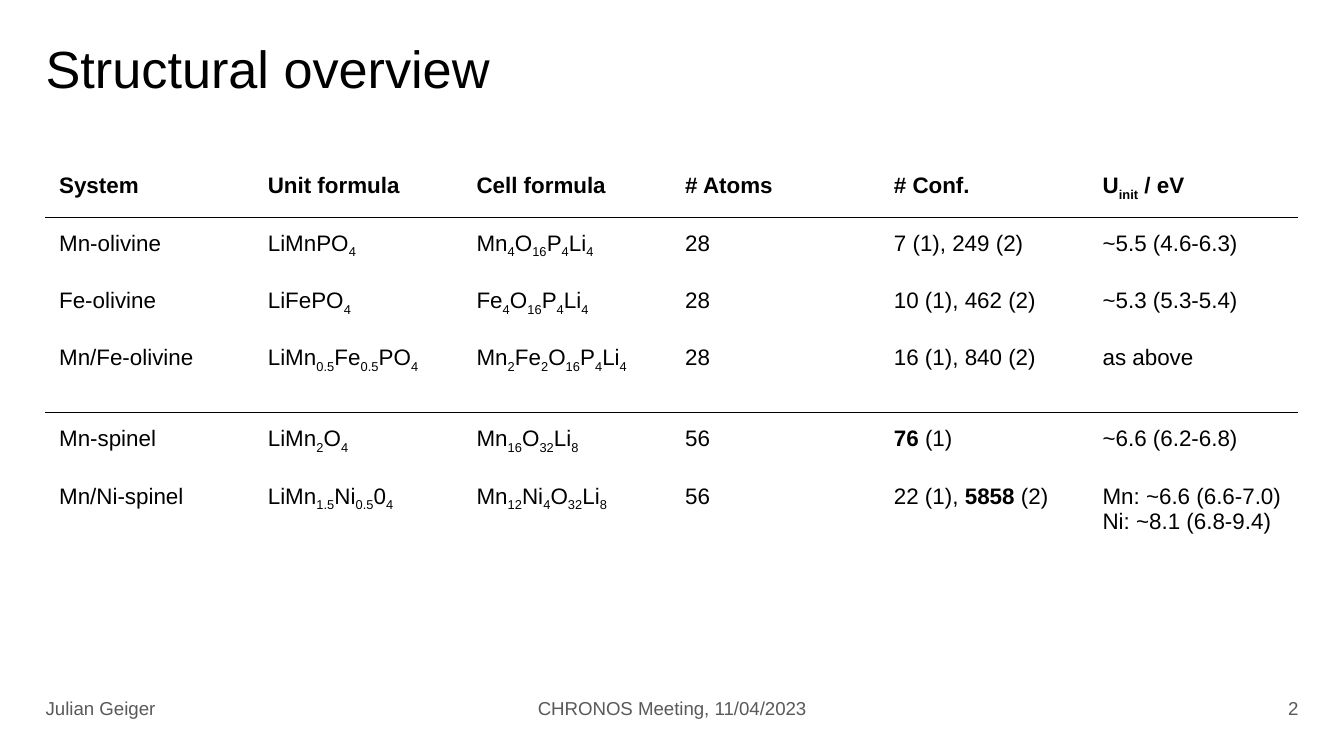
from dataclasses import dataclass
from typing import Iterator

from lxml import etree
from pptx import Presentation
from pptx.dml.color import RGBColor
from pptx.enum import text
from pptx.oxml import ns
from pptx.util import Pt

BLACK = RGBColor(0x00, 0x00, 0x00)
WHITE = RGBColor(0xFF, 0xFF, 0xFF)
GREY = RGBColor(0x59, 0x59, 0x59)
FONT = "Arial"

LEFT = 24.5
CONTENT_WIDTH = 671
COLUMN_WIDTH = 111.8
TABLE_TOP = 85.6
ROW_HEIGHT = 30.8
GROUP_END_HEIGHT = 43.2
CELL_MARGIN = 7.2
RULE_WIDTH = 0.75
FOOTER_TOP = 373
FOOTER_HEIGHT = 12.2


@dataclass(frozen=True)
class Footer:
    wording: str
    left: float
    width: float
    align: text.PP_ALIGN


@dataclass(frozen=True)
class System:
    """One table row; _x_ marks a subscript and *x* marks bold."""
    cells: tuple[str, ...]
    height: float = ROW_HEIGHT
    ruled_below: bool = False


FOOTERS = (
    Footer("Julian Geiger", LEFT, 62, text.PP_ALIGN.LEFT),
    Footer("CHRONOS Meeting, 11/04/2023", 267.5, 185, text.PP_ALIGN.CENTER),
    Footer("2", 677.5, 18, text.PP_ALIGN.RIGHT),
)

SYSTEMS = (
    System(("*System*", "*Unit formula*", "*Cell formula*", "*# Atoms*",
            "*# Conf.*", "*U_init_ / eV*"), ruled_below=True),
    System(("Mn-olivine", "LiMnPO_4_", "Mn_4_O_16_P_4_Li_4_", "28",
            "7 (1), 249 (2)", "~5.5 (4.6-6.3)")),
    System(("Fe-olivine", "LiFePO_4_", "Fe_4_O_16_P_4_Li_4_", "28",
            "10 (1), 462 (2)", "~5.3 (5.3-5.4)")),
    System(("Mn/Fe-olivine", "LiMn_0.5_Fe_0.5_PO_4_", "Mn_2_Fe_2_O_16_P_4_Li_4_", "28",
            "16 (1), 840 (2)", "as above"), GROUP_END_HEIGHT, ruled_below=True),
    System(("Mn-spinel", "LiMn_2_O_4_", "Mn_16_O_32_Li_8_", "56",
            "*76* (1)", "~6.6 (6.2-6.8)")),
    System(("Mn/Ni-spinel", "LiMn_1.5_Ni_0.5_0_4_", "Mn_12_Ni_4_O_32_Li_8_", "56",
            "22 (1), *5858* (2)", "Mn: ~6.6 (6.6-7.0)\nNi: ~8.1 (6.8-9.4)")),
)


def split_markup(line: str) -> Iterator[tuple[str, bool, bool]]:
    """Yield (wording, bold, subscript) for each run."""
    for bold_index, section in enumerate(line.split("*")):
        for sub_index, wording in enumerate(section.split("_")):
            if wording:
                yield wording, bold_index % 2 == 1, sub_index % 2 == 1


def add_run(paragraph, wording: str, size: float, color: RGBColor,
            bold: bool = False, subscript: bool = False) -> None:
    run = paragraph.add_run()
    run.text = wording
    run.font.name = FONT
    run.font.size = Pt(size)
    run.font.bold = bold
    run.font.color.rgb = color
    if subscript:
        run.font._element.set("baseline", "-25000")


def clear_margins(frame) -> None:
    frame.margin_left = frame.margin_top = frame.margin_right = frame.margin_bottom = 0


def add_title(slide, wording: str) -> None:
    title = slide.shapes.title
    title.left, title.top = Pt(LEFT), Pt(14.4)
    title.width, title.height = Pt(CONTENT_WIDTH), Pt(45.4)
    frame = title.text_frame
    clear_margins(frame)
    frame.auto_size = text.MSO_AUTO_SIZE.NONE
    frame.vertical_anchor = text.MSO_ANCHOR.TOP
    heading = frame.paragraphs[0]
    heading.alignment = text.PP_ALIGN.LEFT
    heading.line_spacing = 1.15
    add_run(heading, wording, 28, BLACK)


def add_footer(slide, footer: Footer) -> None:
    box = slide.shapes.add_textbox(Pt(footer.left), Pt(FOOTER_TOP),
                                   Pt(footer.width), Pt(FOOTER_HEIGHT))
    frame = box.text_frame
    clear_margins(frame)
    frame.word_wrap = True
    frame.vertical_anchor = text.MSO_ANCHOR.MIDDLE
    paragraph = frame.paragraphs[0]
    paragraph.alignment = footer.align
    add_run(paragraph, footer.wording, 10, GREY)


def set_borders(cell, top: RGBColor, bottom: RGBColor) -> None:
    properties = cell._tc.get_or_add_tcPr()
    for side, color in (("L", WHITE), ("R", WHITE), ("T", top), ("B", bottom)):
        border = etree.SubElement(properties, ns.qn(f"a:ln{side}"), w=str(Pt(RULE_WIDTH)))
        fill = etree.SubElement(border, ns.qn("a:solidFill"))
        etree.SubElement(fill, ns.qn("a:srgbClr"), val=str(color))


def fill_cell(cell, markup: str, top: RGBColor, bottom: RGBColor) -> None:
    cell.margin_left = cell.margin_right = Pt(CELL_MARGIN)
    cell.margin_top = cell.margin_bottom = Pt(CELL_MARGIN)
    set_borders(cell, top, bottom)
    cell.fill.background()
    frame = cell.text_frame
    for index, line in enumerate(markup.split("\n")):
        paragraph = frame.add_paragraph() if index else frame.paragraphs[0]
        for wording, bold, subscript in split_markup(line):
            add_run(paragraph, wording, 12, BLACK, bold, subscript)


def add_systems_table(slide, systems: tuple[System, ...]) -> None:
    column_count = len(systems[0].cells)
    table = slide.shapes.add_table(
        len(systems), column_count, Pt(LEFT), Pt(TABLE_TOP),
        Pt(COLUMN_WIDTH * column_count), Pt(sum(s.height for s in systems))).table
    table.first_row = table.horz_banding = False
    for column in table.columns:
        column.width = Pt(COLUMN_WIDTH)
    top = WHITE
    for row, system in zip(table.rows, systems):
        row.height = Pt(system.height)
        bottom = BLACK if system.ruled_below else WHITE
        for cell, markup in zip(row.cells, system.cells):
            fill_cell(cell, markup, top, bottom)
        top = bottom


def main() -> None:
    presentation = Presentation()
    presentation.slide_width, presentation.slide_height = Pt(720), Pt(405)
    slide = presentation.slides.add_slide(presentation.slide_layouts[5])
    add_title(slide, "Structural overview")
    for footer in FOOTERS:
        add_footer(slide, footer)
    add_systems_table(slide, SYSTEMS)
    presentation.save("out.pptx")


if __name__ == "__main__":
    main()
